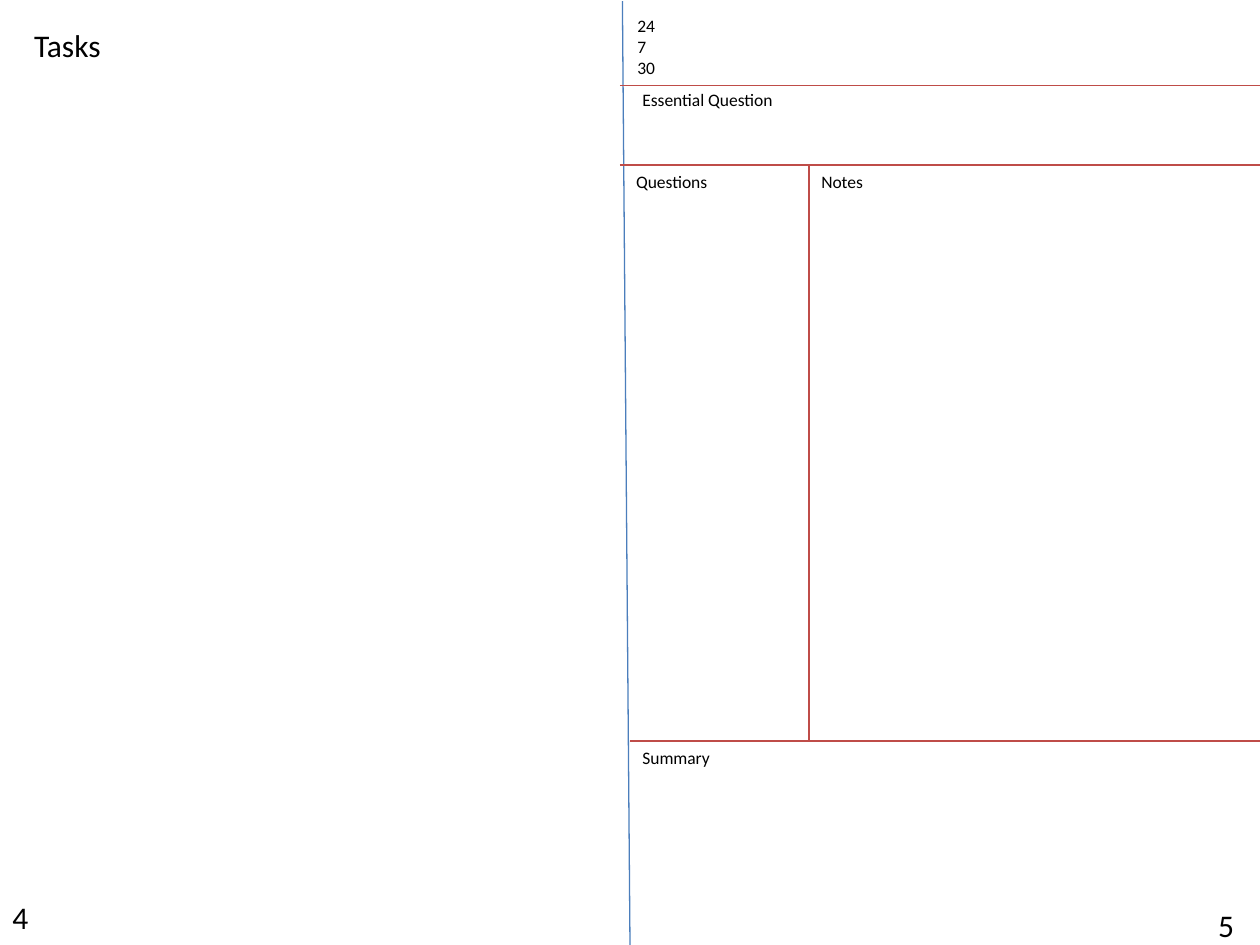
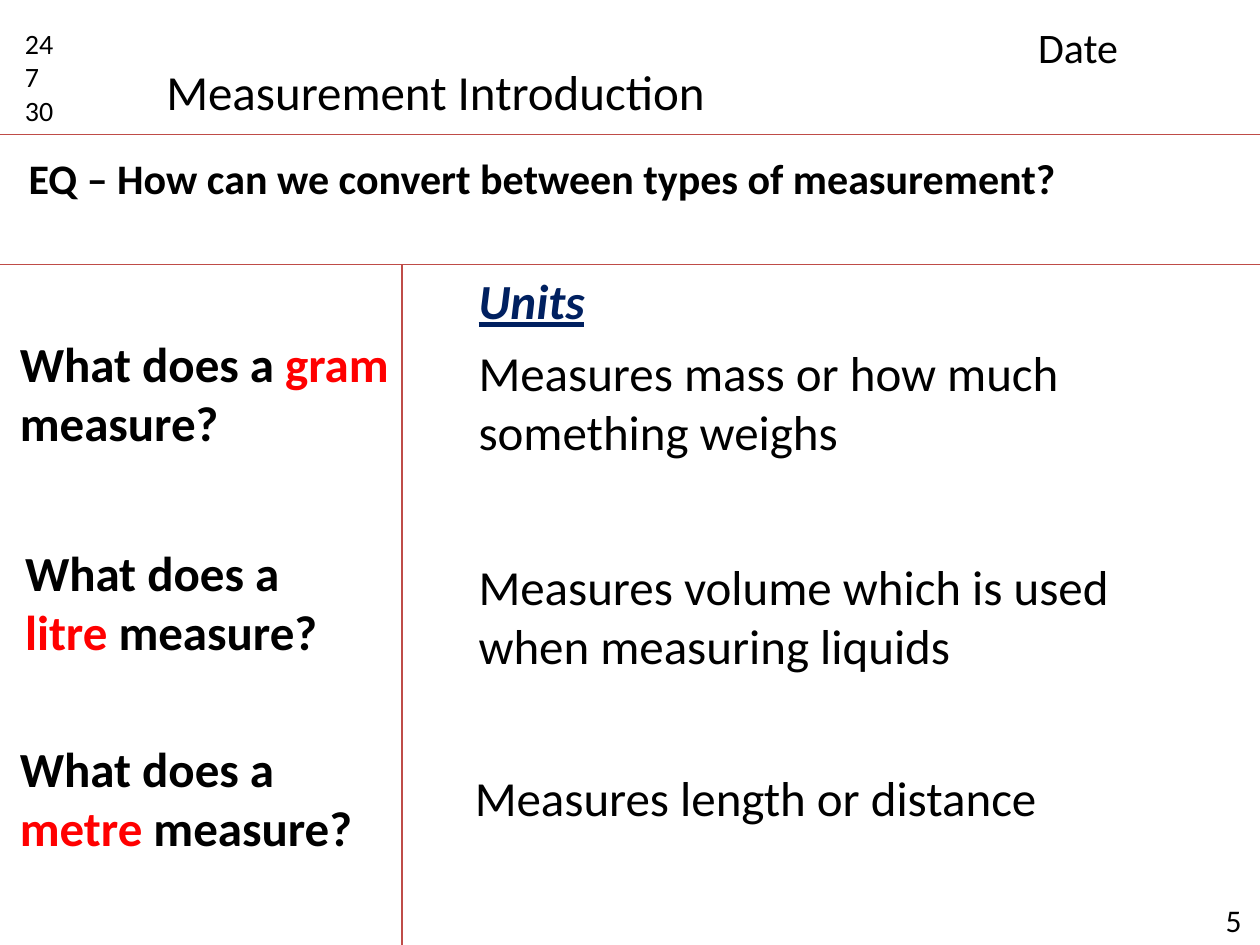
from collections import namedtuple

from lxml import etree
from pptx import Presentation
from pptx.dml.color import RGBColor
from pptx.enum.shapes import MSO_CONNECTOR
from pptx.enum.text import MSO_ANCHOR, MSO_AUTO_SIZE, PP_ALIGN
from pptx.oxml.ns import qn
from pptx.util import Inches, Pt

BLACK = RGBColor(0x00, 0x00, 0x00)
RED = RGBColor(0xFF, 0x00, 0x00)
NAVY = RGBColor(0x00, 0x20, 0x60)
RULE_RED = RGBColor(0xBF, 0x4C, 0x48)
FOLD_BLUE = RGBColor(0x4B, 0x7E, 0xBC)
FONT = "Calibri"
PERIODS = ["24", "7", "30"]
LABEL = {"size": 10}
PAGE_NUMBER = {"size": 18}
HEADING = {"size": 28}
QUESTION = {"size": 28, "bold": True}

Box = namedtuple("Box", "left top width height")


def inside(box, left, top, width, height):
    return Box(box.left + left, box.top + top, width, height)


def format_font(font, size, color=BLACK, **values):
    font.color.rgb = color
    for name, value in {"name": FONT, "size": Pt(size), **values}.items():
        setattr(font, name, value)


def fill_text(shape, paragraphs, style, wrap):
    frame = shape.text_frame
    frame_format = {"word_wrap": wrap, "auto_size": MSO_AUTO_SIZE.NONE,
                    "vertical_anchor": MSO_ANCHOR.TOP}
    for name, value in frame_format.items():
        setattr(frame, name, value)
    for index, runs in enumerate(paragraphs):
        paragraph = frame.add_paragraph() if index else frame.paragraphs[0]
        paragraph.alignment = PP_ALIGN.LEFT
        for text, changes in runs:
            run = paragraph.add_run()
            run.text = text
            format_font(run.font, **{**style, **changes})


def place(shape, box):
    for name, value in box._asdict().items():
        setattr(shape, name, Inches(value))


def add_text(slide, box, lines, style, wrap=False):
    shape = slide.shapes.add_textbox(*map(Inches, box))
    fill_text(shape, [[(line, {})] for line in lines], style, wrap)


def add_title(slide, box, text, style):
    title = slide.shapes.title
    place(title, box)
    fill_text(title, [[(text, {})]], style, False)


def add_rule(slide, start, end, color=RULE_RED):
    rule = slide.shapes.add_connector(MSO_CONNECTOR.STRAIGHT, *map(Inches, start + end))
    rule.line.color.rgb = color
    rule.line.width = Pt(0.75)
    etree.SubElement(rule._element.spPr, qn("a:effectLst"))


def add_task_page(slide, page):
    add_title(slide, inside(page, 0.17, 0.16, 0.73, 0.4), "Tasks", PAGE_NUMBER)
    add_text(slide, inside(page, 0, 7.08, 0.33, 0.4), ["4"], PAGE_NUMBER)


def add_blank_notes_page(slide, page):
    right = page.left + page.width
    header, body, summary, divider = 0.68, 1.31, 5.88, page.left + 1.5
    for left, top in ((page.left, header), (page.left, body), (page.left + 0.08, summary)):
        add_rule(slide, (left, top), (right, top))
    add_rule(slide, (divider, body), (divider, summary))
    add_text(slide, inside(page, 0.04, 0.07, 0.47, 0.61), PERIODS, LABEL, True)
    labels = [
        ("Essential Question", 0.08, header - 0.02, 1.25),
        ("Questions", 0.03, body, 0.78),
        ("Notes", 1.5, body, 0.54),
        ("Summary", 0.08, summary, 0.74),
    ]
    for text, left, top, width in labels:
        add_text(slide, inside(page, left, top, width, 0.27), [text], LABEL)
    add_text(slide, inside(page, 4.65, 7.14, 0.43, 0.4), ["5"], PAGE_NUMBER, True)


def build_spread(slide):
    add_rule(slide, (4.94, 0.01), (5, 7.5), FOLD_BLUE)
    add_task_page(slide, Box(0, 0, 4.92, 7.5))
    add_blank_notes_page(slide, Box(4.92, 0, 5.08, 7.5))


def add_header(slide, band):
    add_text(slide, inside(band, 0.1, 0.16, 0.63, 0.91), PERIODS, {"size": 16}, True)
    add_title(slide, inside(band, 1.22, 0.44, 4.53, 0.57), "Measurement Introduction", HEADING)
    add_text(slide, inside(band, 8.14, 0.12, 1.73, 0.5), ["Date"], {"size": 24}, True)


def add_essential_question(slide, band):
    for top in (band.top, band.top + band.height):
        add_rule(slide, (band.left, top), (band.left + band.width, top))
    add_text(slide, inside(band, 0.13, 0.09, 9.43, 0.5),
             ["EQ – How can we convert between types of measurement?"],
             {"size": 24, "bold": True}, True)


def add_questions(slide, column):
    right = column.left + column.width
    add_rule(slide, (right, column.top), (right, column.top + column.height))
    questions = [
        ("gram", 0.06, 0.5, 3.13),
        ("litre", 0.1, 2.16, 2.69),
        ("metre", 0.06, 3.71, 2.97),
    ]
    for unit, left, top, width in questions:
        box = inside(column, left, top, width, 1.04)
        shape = slide.shapes.add_textbox(*map(Inches, box))
        runs = [("What does a ", {}), (unit, {"color": RED}), (" measure?", {})]
        fill_text(shape, [runs], QUESTION, True)


def add_notes(slide, column):
    add_text(slide, inside(column, 0.51, 0, 2.4, 0.57), ["Units"],
             {**HEADING, "color": NAVY, "bold": True, "italic": True, "underline": True}, True)
    answers = [
        ("Measures mass or how much something weighs", 0.51, 0.57, 6.3, 1.04),
        ("Measures volume which is used when measuring liquids", 0.51, 2.27, 6.13, 1.04),
        ("Measures length or distance", 0.48, 3.94, 6.3, 0.57),
    ]
    for text, *position in answers:
        add_text(slide, inside(column, *position), [text], HEADING, True)
    add_text(slide, inside(column, 6.44, 5, 0.37, 0.4), ["5"], PAGE_NUMBER, True)


def build_measurement_notes(slide):
    add_header(slide, Box(0, 0, 10, 1.07))
    add_essential_question(slide, Box(0, 1.07, 10, 1.03))
    add_questions(slide, Box(0, 2.1, 3.19, 5.4))
    add_notes(slide, Box(3.19, 2.1, 6.81, 5.4))


def main():
    presentation = Presentation()
    presentation.slide_width = Inches(10)
    presentation.slide_height = Inches(7.5)
    title_only = presentation.slide_layouts[5]
    for build in (build_spread, build_measurement_notes):
        build(presentation.slides.add_slide(title_only))
    presentation.save("out.pptx")


if __name__ == "__main__":
    main()
